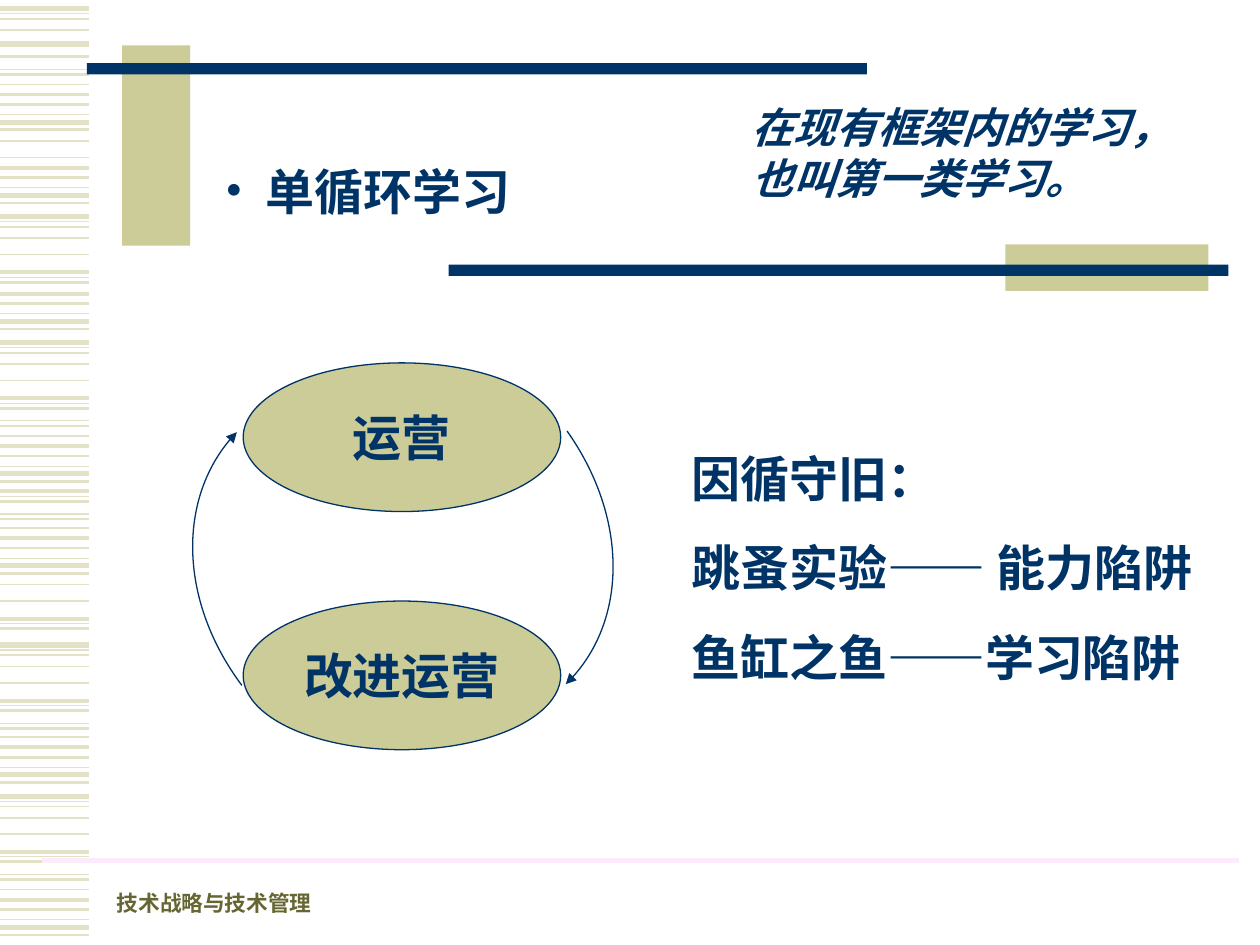
import dataclasses
import pptx
import pptx.util
import pptx.dml.color
import pptx.enum.shapes
import pptx.enum.text
import pptx.oxml
import pptx.oxml.ns
from lxml import etree

Inches, Pt = pptx.util.Inches, pptx.util.Pt
Shape = pptx.enum.shapes.MSO_SHAPE
Anchor = pptx.enum.text.MSO_ANCHOR
Align = pptx.enum.text.PP_ALIGN
qn = pptx.oxml.ns.qn


@dataclasses.dataclass(frozen=True)
class Theme:
    font: str = "Times New Roman"
    navy: str = "003366"
    sand: str = "CCCC99"
    pale: str = "E3E2C7"
    olive: str = "666633"
    pink: str = "FBEBFB"
    big: float = 28
    mid: float = 24
    small: float = 12.4
    thin: float = 0.75


THEME = Theme()

# Stripe motifs: (offset in inches, width in points)
SHORT = [(0, 1), (0.08, 2.25), (0.16, 1.5), (0.24, 0.75), (0.3, 3), (0.36, 1.5)]
LONG = [(0, 3), (0.04, 0.75), (0.08, 1), (0.17, 1), (0.3, 1), (0.44, 2.25),
        (0.48, 0.75), (0.52, 1.5), (0.62, 0.75), (0.66, 1.5)]

# Runs of stripes down the margin: (motif, top, first, end)
RUNS = [
    (LONG, -0.07, 7, 10), (LONG, 0.07, 0, 4), (SHORT, 0.05, 4, 5),
    (SHORT, 0.67, 0, 6), (LONG, 0.82, 4, 5), (SHORT, 1.25, 0, 6),
    (LONG, 1.72, 0, 8), (SHORT, 2.25, 1, 6), (LONG, 2.72, 0, 10),
    (SHORT, 3.46, 0, 6), (LONG, 3.46, 5, 10), (SHORT, 4.19, 0, 6),
    (LONG, 4.47, 3, 8), (LONG, 5.12, 0, 10), (SHORT, 5.85, 0, 6),
    (LONG, 6.32, 0, 10), (SHORT, 7.06, 0, 6),
]


def rgb(hue):
    return pptx.dml.color.RGBColor.from_string(hue)


def rule(slide, x, y, w, hue, size):
    line = slide.shapes.add_connector(
        pptx.enum.shapes.MSO_CONNECTOR.STRAIGHT,
        Inches(x), Inches(y), Inches(x + w), Inches(y))
    line.line.color.rgb = rgb(hue)
    line.line.width = Pt(size)
    etree.SubElement(line._element.spPr, qn("a:effectLst"))


def block(slide, kind, x, y, w, h, hue, edge=None):
    shape = slide.shapes.add_shape(kind, Inches(x), Inches(y), Inches(w), Inches(h))
    shape.shadow.inherit = False
    shape.fill.solid()
    shape.fill.fore_color.rgb = rgb(hue)
    if edge:
        shape.line.color.rgb = rgb(edge)
        shape.line.width = Pt(THEME.thin)
    else:
        shape.line.fill.background()
    return shape


def style(par, size, hue=THEME.navy, slant=None):
    font = par.font
    font.name, font.size, font.bold, font.italic = THEME.font, Pt(size), True, slant
    font.color.rgb = rgb(hue)


def write(slide, x, y, w, h, lines, size, hue=THEME.navy, slant=None,
          anchor=Anchor.TOP, gap=0, dot=False):
    frame = slide.shapes.add_textbox(Inches(x), Inches(y), Inches(w), Inches(h)).text_frame
    frame.word_wrap = True
    frame.vertical_anchor = anchor
    for i, text in enumerate(lines):
        par = frame.paragraphs[0] if i == 0 else frame.add_paragraph()
        par.text = text
        if i:
            par.space_before = Pt(gap)
        if dot:
            bullet(par, 0.32)
        style(par, size, hue, slant)


def bullet(par, indent):
    props = par._p.get_or_add_pPr()
    props.set("marL", str(Inches(indent)))
    props.set("indent", str(-Inches(indent)))
    tint = etree.SubElement(props, qn("a:buClr"))
    etree.SubElement(tint, qn("a:srgbClr"), val=THEME.navy)
    etree.SubElement(props, qn("a:buFont"), typeface=THEME.font)
    etree.SubElement(props, qn("a:buChar"), char="•")


def curve(slide, x, y, points):
    """Draw one cubic curve with an arrowhead at its first point."""
    spots = [(Inches(x + dx), Inches(y + dy)) for dx, dy in points]
    pen = slide.shapes.build_freeform(*spots[0])
    pen.add_line_segments(spots[1:], close=False)
    shape = pen.convert_to_shape()
    shape.shadow.inherit = False
    shape.fill.background()
    shape.line.color.rgb = rgb(THEME.navy)
    shape.line.width = Pt(THEME.thin)
    etree.SubElement(shape.line._get_or_add_ln(), qn("a:headEnd"), type="triangle")
    # Turn the straight segments into one Bézier segment
    steps = list(shape._element.iter(qn("a:lnTo")))
    bend = etree.SubElement(steps[0].getparent(), qn("a:cubicBezTo"))
    for step in steps:
        bend.append(step[0])
        step.getparent().remove(step)


def margin(slide, x, y, w):
    for motif, top, first, end in RUNS:
        for drop, size in motif[first:end]:
            rule(slide, x, y + top + drop, w, THEME.pale, size)


def header(slide, x, y):
    # Crossed bars
    bars = [(0.28, 0, 0.54, 1.59, THEME.sand), (0, 0.14, 6.19, 0.09, THEME.navy),
            (7.29, 1.58, 1.61, 0.37, THEME.sand), (2.87, 1.74, 6.19, 0.09, THEME.navy)]
    for dx, dy, w, h, hue in bars:
        block(slide, Shape.RECTANGLE, x + dx, y + dy, w, h, hue)
    # Heading and definition
    write(slide, x + 1, y + 0.87, 3.15, 0.57, ["单循环学习"], THEME.big, dot=True)
    write(slide, x + 5.18, y + 0.4, 3.7, 0.9, ["在现有框架内的学习，也叫第一类学习。"],
          THEME.mid, slant=True)


def loop(slide, x, y):
    # Two stages
    for i, text in enumerate(["运营", "改进运营"]):
        oval = block(slide, Shape.OVAL, x + 0.4, y + 1.89 * i, 2.52, 1.18,
                     THEME.sand, THEME.navy)
        frame = oval.text_frame
        frame.margin_left = frame.margin_right = 0
        frame.vertical_anchor = Anchor.MIDDLE
        par = frame.paragraphs[0]
        par.text = text
        par.alignment = Align.CENTER
        style(par, THEME.big)
    # Arrows between them
    curve(slide, x, y, [(0.35, 0.55), (-0.12, 1.03), (-0.11, 1.89), (0.39, 2.56)])
    curve(slide, x, y, [(2.96, 2.55), (3.45, 2.08), (3.45, 1.22), (2.97, 0.54)])


def notes(slide, x, y, w, h):
    lines = ["因循守旧：", "跳蚤实验—— 能力陷阱", "鱼缸之鱼——学习陷阱"]
    write(slide, x, y, w, h, lines, THEME.big, gap=17.5)


def footer(slide, x, y, w):
    rule(slide, x, y, w, THEME.pink, 3)
    write(slide, x + 0.5, y + 0.15, 2.6, 0.34, ["技术战略与技术管理"], THEME.small,
          THEME.olive, anchor=Anchor.BOTTOM)


def main():
    deck = pptx.Presentation()
    deck.slide_width, deck.slide_height = Inches(10), Inches(7.5)
    slide = deck.slides.add_slide(deck.slide_layouts[6])
    margin(slide, 0, 0, 0.71)
    header(slide, 0.69, 0.36)
    footer(slide, 0.33, 6.83, 9.5)
    loop(slide, 1.53, 2.88)
    notes(slide, 5.39, 3.51, 4.41, 1.99)
    deck.save("out.pptx")


if __name__ == "__main__":
    main()
